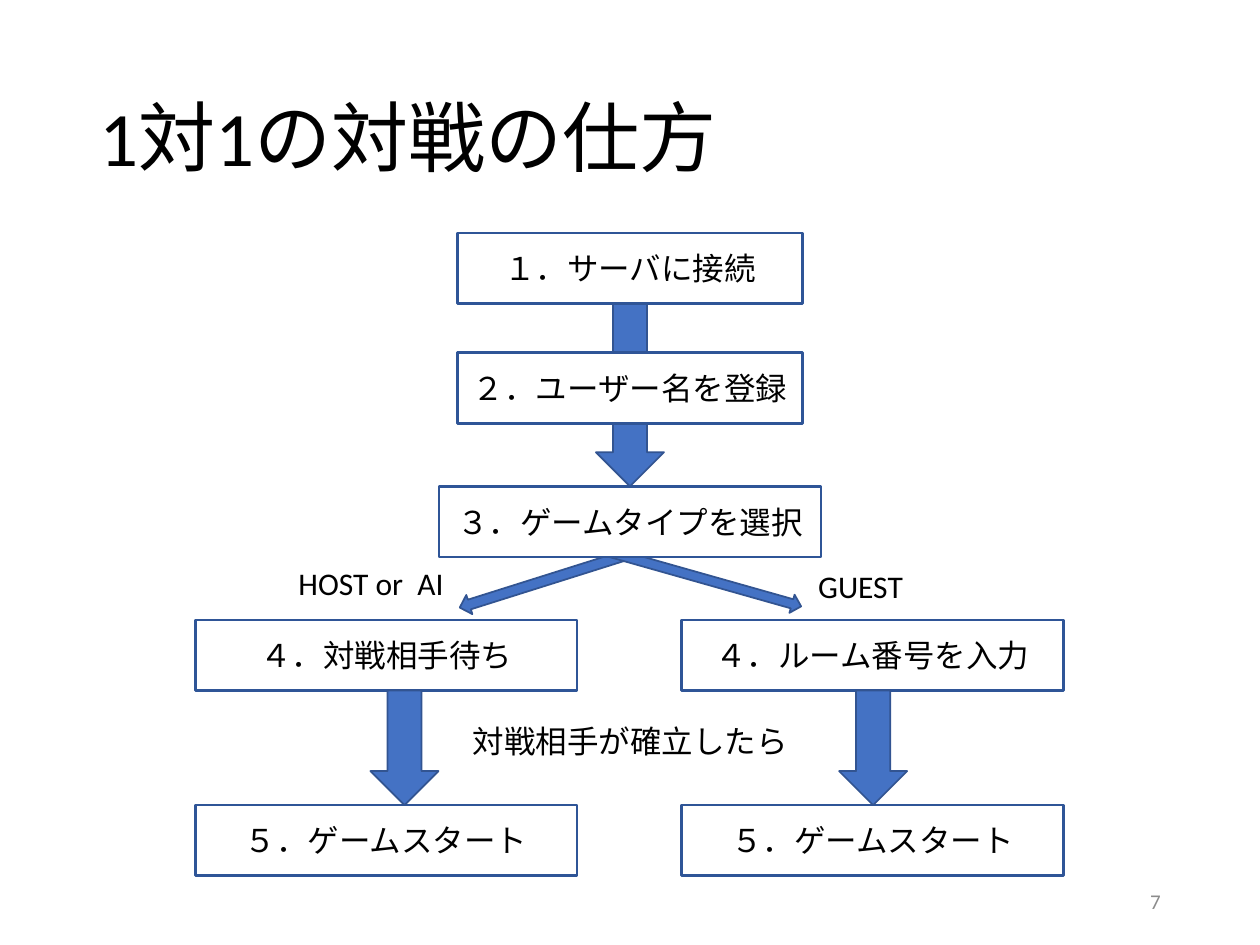
from pptx import Presentation
from pptx.dml.color import RGBColor
from pptx.enum.shapes import MSO_SHAPE
from pptx.enum.text import MSO_ANCHOR, PP_ALIGN
from pptx.util import Inches, Pt

HUES = {"ink": "000000", "white": "FFFFFF", "blue": "4472C4",
        "edge": "325491", "frame": "2F5597", "gray": "8C8C8C"}


def hue(name):
    """Return the named colour."""
    return RGBColor.from_string(HUES[name])


def place(item, spot):
    """Set left, top, width and height in inches."""
    for key, val in zip(("left", "top", "width", "height"), spot):
        setattr(item, key, Inches(val))


def write(item, text, size=18, tint="ink", align=PP_ALIGN.CENTER,
          anchor=MSO_ANCHOR.MIDDLE, gap=1.0):
    """Fill an item with one formatted line of text."""
    frame = item.text_frame
    frame.text = text
    para = frame.paragraphs[0]
    looks = {
        frame: {"word_wrap": True, "vertical_anchor": anchor},
        para: {"alignment": align, "line_spacing": gap},
    }
    for part, look in looks.items():
        for key, val in look.items():
            setattr(part, key, val)
    font = para.runs[0].font
    for key, val in {"name": "Calibri", "size": Pt(size)}.items():
        setattr(font, key, val)
    font.color.rgb = hue(tint)


def shape(slide, kind, spot, fill, line, width):
    """Add a flat preset shape, unfilled when fill is None."""
    item = slide.shapes.add_shape(kind, *map(Inches, spot))
    item.shadow.inherit = False
    if fill:
        item.fill.solid()
        item.fill.fore_color.rgb = hue(fill)
    else:
        item.fill.background()
    item.line.color.rgb = hue(line)
    item.line.width = Pt(width)
    return item


def arrow(slide, spot, turn=0):
    """Add a blue block arrow."""
    item = shape(slide, MSO_SHAPE.DOWN_ARROW, spot, "blue", "edge", 1)
    item.rotation = turn


def step(slide, text, left, top, wide, fill=None):
    """Add a framed step of the flow."""
    spot = (left, top, wide, 0.56)
    item = shape(slide, MSO_SHAPE.FLOWCHART_PROCESS, spot, fill, "frame", 1.5)
    write(item, text)


def label(slide, text, spot, **look):
    """Add a text box."""
    item = slide.shapes.add_textbox(*map(Inches, spot))
    write(item, text, **look)


def main():
    """Build the slide and save it."""
    deck = Presentation()
    deck.slide_width, deck.slide_height = Inches(10), Inches(7.5)
    slide = deck.slides.add_slide(deck.slide_layouts[5])

    title = slide.shapes.title
    place(title, (0.69, 0.4, 8.62, 1.45))
    write(title, "1対1の対戦の仕方", size=44, align=PP_ALIGN.LEFT, gap=0.9)

    arrow(slide, (4.37, 3.73, 0.16, 1.68), 72.5)
    arrow(slide, (5.48, 3.75, 0.15, 1.67), 285.8)
    arrow(slide, (4.73, 2.36, 0.54, 1.5))

    for text, top, wide in (("１．サーバに接続", 1.85, 2.74),
                            ("２．ユーザー名を登録", 2.8, 2.74),
                            ("３．ゲームタイプを選択", 3.86, 3.03)):
        step(slide, text, 5 - wide / 2, top, wide, "white")

    for left, tip, text in ((1.55, 2.94, "４．対戦相手待ち"),
                            (5.41, 6.66, "４．ルーム番号を入力")):
        step(slide, text, left, 4.92, 3.03)
        step(slide, "５．ゲームスタート", left, 6.39, 3.03)
        arrow(slide, (tip, 5.48, 0.54, 0.91))

    for text, spot in (("HOST or  AI", (2.12, 4.43, 1.65, 0.4)),
                       ("GUEST", (6.18, 4.45, 1.3, 0.4)),
                       ("対戦相手が確立したら", (3.56, 5.68, 2.88, 0.4))):
        label(slide, text, spot, anchor=MSO_ANCHOR.TOP)
    label(slide, "7", (7.06, 6.95, 2.25, 0.4), size=12, tint="gray",
          align=PP_ALIGN.RIGHT)

    deck.save("out.pptx")


if __name__ == "__main__":
    main()
